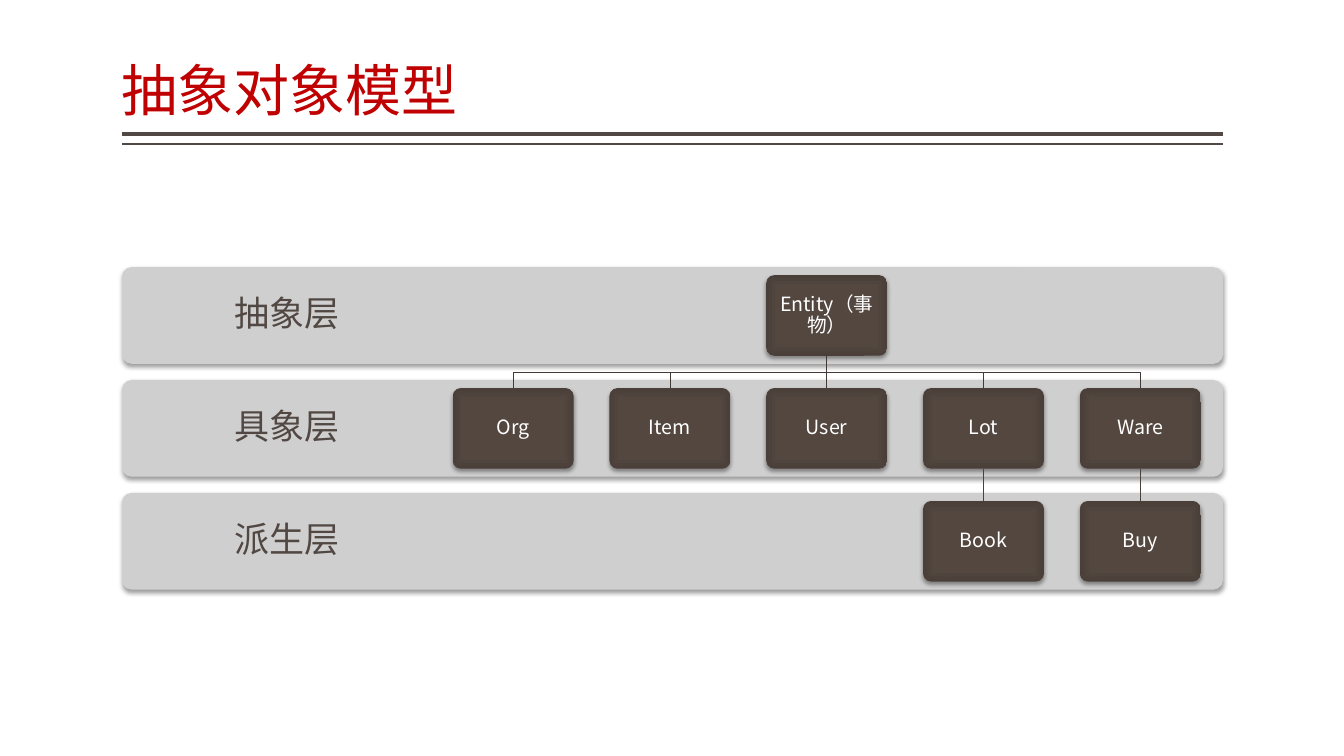
from lxml import etree
from pptx import Presentation
from pptx.dml.color import RGBColor
from pptx.enum import shapes, text
from pptx.oxml import ns, parse_xml
from pptx.util import Inches, Pt

FONT = "Noto Sans CJK SC"
COLORS = {
    "title": "BF0102", "rule": "514843", "band": "D0CFCF", "label": "514843",
    "core": "544740", "mid": "534740", "edge": "4A3F39", "node": "FFFFFF",
    "tree": "413A36", "drop": "4A413D", "shadow": "000000",
}

# Grid in inches
LEFT, WIDTH = 1.21, 10.92
TOP, STEP, BAND_H = 2.65, 1.12, 0.96
NODE_X, NODE_STEP, NODE_W, NODE_H = 4.49, 1.555, 1.2, 0.8

BANDS = ["抽象层", "具象层", "派生层"]
# Name, column, row
NODES = [
    ("Entity（事物）", 2, 0),
    ("Org", 0, 1), ("Item", 1, 1), ("User", 2, 1), ("Lot", 3, 1), ("Ware", 4, 1),
    ("Book", 3, 2), ("Buy", 4, 2),
]
ROOT = NODES[0][0]
DROPS = [(ROOT, "User", "tree"), ("Lot", "Book", "drop"), ("Ware", "Buy", "drop")]
BENDS = ["Org", "Item", "Lot", "Ware"]


def rgb(key):
    return RGBColor.from_string(COLORS[key])


def write(frame, words, size, key, align, anchor, inset):
    frame.text = words
    frame.word_wrap = True
    frame.auto_size = text.MSO_AUTO_SIZE.NONE
    frame.vertical_anchor = anchor
    frame.margin_left = frame.margin_right = Inches(inset[0])
    frame.margin_top = frame.margin_bottom = Inches(inset[1])
    para = frame.paragraphs[0]
    para.alignment = align
    para.line_spacing = 0.9
    font = para.runs[0].font
    font.name, font.size = FONT, Pt(size)
    font.color.rgb = rgb(key)
    # East Asian glyphs use the same font
    latin = font._element.find(ns.qn("a:latin"))
    east = etree.Element(ns.qn("a:ea"), typeface=FONT)
    latin.addnext(east)


def center(frame, words, size, key, inset):
    write(frame, words, size, key, text.PP_ALIGN.CENTER,
          text.MSO_ANCHOR.MIDDLE, (inset, inset))


def add_card(slide, x, y, w, h):
    card = slide.shapes.add_shape(
        shapes.MSO_SHAPE.ROUNDED_RECTANGLE,
        Inches(x), Inches(y), Inches(w), Inches(h))
    card.adjustments[0] = 0.1
    card.line.fill.background()
    card.shadow.inherit = False
    effects = card._element.spPr.find(ns.qn("a:effectLst"))
    effects.append(parse_xml(
        f'<a:outerShdw {ns.nsdecls("a")} blurRad="39370" dist="25400" '
        'dir="5400000" rotWithShape="0">'
        f'<a:srgbClr val="{COLORS["shadow"]}"><a:alpha val="38000"/></a:srgbClr>'
        '</a:outerShdw>'))
    return card


def add_band(slide, row, words):
    y = TOP + row * STEP
    band = add_card(slide, LEFT, y, WIDTH, BAND_H)
    band.fill.solid()
    band.fill.fore_color.rgb = rgb("band")
    label = slide.shapes.add_textbox(
        Inches(LEFT), Inches(y), Inches(3.27), Inches(BAND_H))
    center(label.text_frame, words, 25, "label", 0.19)


def add_node(slide, words, col, row):
    node = add_card(slide, NODE_X + col * NODE_STEP, TOP + 0.08 + row * STEP,
                    NODE_W, NODE_H)
    # Gradient from the middle out to the edges
    stops = "".join(
        f'<a:gs pos="{pos}"><a:srgbClr val="{COLORS[key]}"/></a:gs>'
        for pos, key in [(0, "core"), (71000, "mid"), (100000, "edge")])
    geom = node._element.spPr.find(ns.qn("a:prstGeom"))
    geom.addnext(parse_xml(
        f'<a:gradFill {ns.nsdecls("a")} rotWithShape="1"><a:gsLst>{stops}</a:gsLst>'
        '<a:path path="rect"><a:fillToRect l="50000" t="50000" r="50000" '
        'b="50000"/></a:path></a:gradFill>'))
    center(node.text_frame, words, 14, "node", 0.08)
    return node


def add_line(slide, start, end, key, width):
    line = slide.shapes.add_connector(shapes.MSO_CONNECTOR.STRAIGHT, *start, *end)
    line.line.color.rgb = rgb(key)
    line.line.width = Pt(width)
    etree.SubElement(line._element.spPr, ns.qn("a:effectLst"))
    return line


def foot(node):
    return node.left + node.width // 2, node.top + node.height


def head(node):
    return node.left + node.width // 2, node.top


def add_drop(slide, upper, lower, key):
    line = add_line(slide, foot(upper), head(lower), key, 0.5)
    line.begin_connect(upper, 2)
    line.end_connect(lower, 0)


def add_bend(slide, upper, lower):
    (x1, y1), (x2, y2) = foot(upper), head(lower)
    mid = (y1 + y2) // 2
    build = slide.shapes.build_freeform(x1, y1)
    build.add_line_segments([(x1, mid), (x2, mid), (x2, y2)], close=False)
    bend = build.convert_to_shape()
    bend.fill.background()
    bend.line.color.rgb = rgb("tree")
    bend.line.width = Pt(0.5)
    bend.shadow.inherit = False


def add_title(slide, words):
    title = slide.shapes.title
    title.left, title.top = Inches(LEFT), Inches(0.08)
    title.width, title.height = Inches(WIDTH), Inches(1.2)
    write(title.text_frame, words, 40, "title", text.PP_ALIGN.LEFT,
          text.MSO_ANCHOR.BOTTOM, (0, 0.05))
    # Double rule below the title
    for y, width in [(1.33, 3), (1.43, 1)]:
        add_line(slide, (Inches(LEFT), Inches(y)),
                 (Inches(LEFT + WIDTH), Inches(y)), "rule", width)


def main():
    prs = Presentation()
    prs.slide_width, prs.slide_height = Inches(13.33), Inches(7.5)
    slide = prs.slides.add_slide(prs.slide_layouts[5])
    add_title(slide, "抽象对象模型")

    # Layers
    for row, words in enumerate(BANDS):
        add_band(slide, row, words)

    # Objects and their links
    nodes = {name: add_node(slide, name, col, row) for name, col, row in NODES}
    for name in BENDS:
        add_bend(slide, nodes[ROOT], nodes[name])
    for upper, lower, key in DROPS:
        add_drop(slide, nodes[upper], nodes[lower], key)

    prs.save("out.pptx")


if __name__ == "__main__":
    main()
